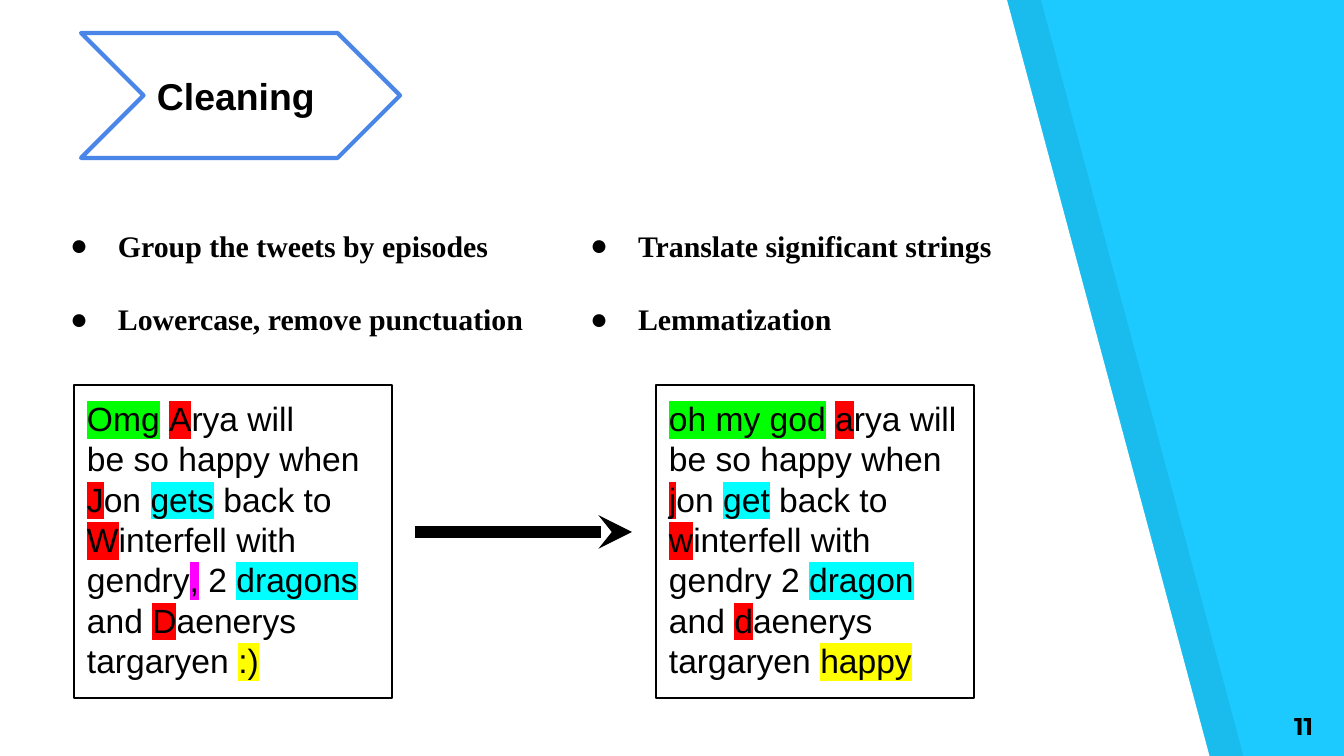
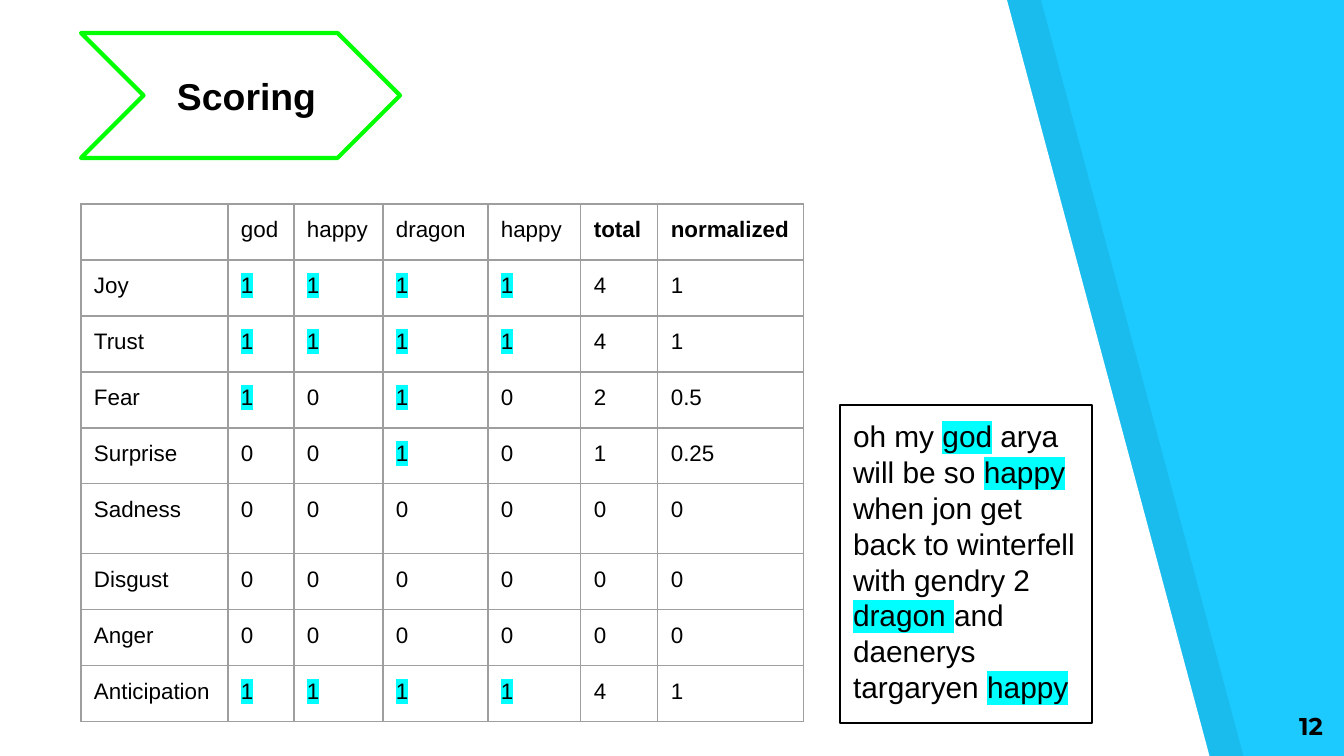
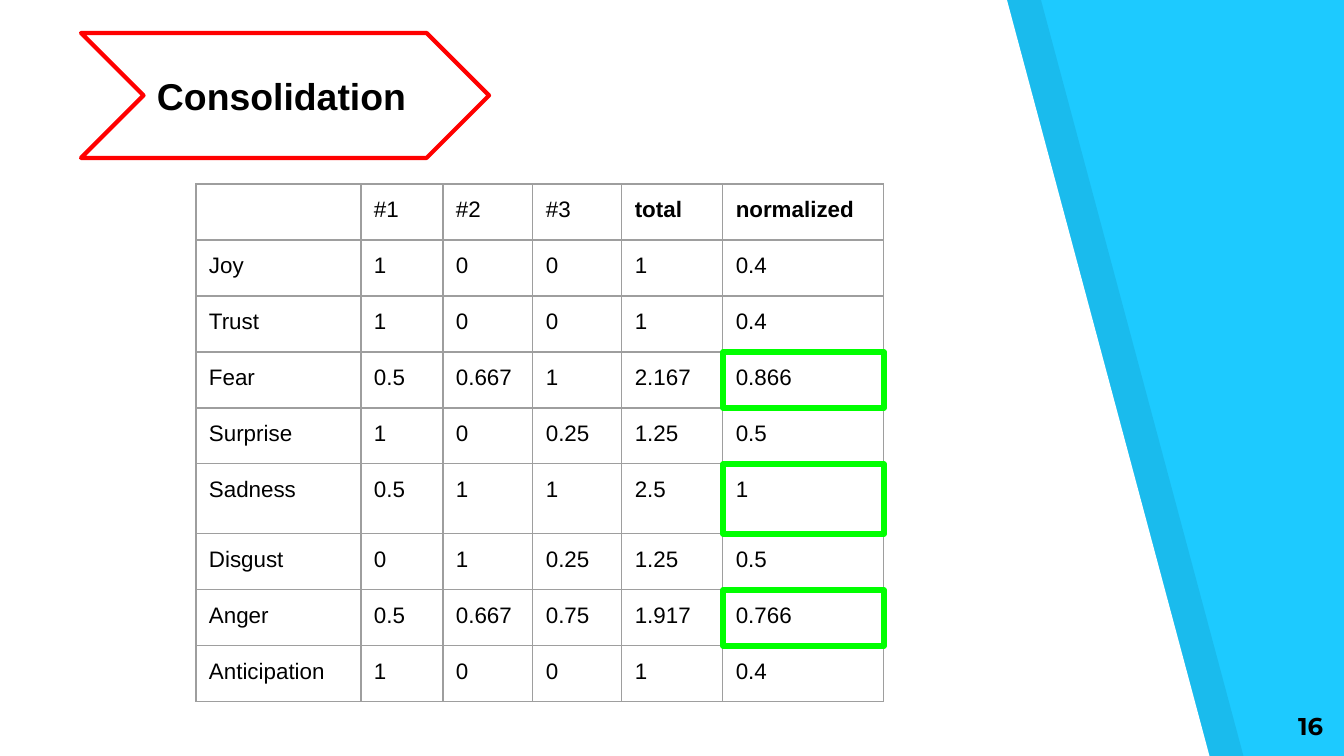
from dataclasses import dataclass
from itertools import accumulate

from lxml import etree
from pptx import Presentation
from pptx.dml.color import RGBColor
from pptx.enum.shapes import MSO_CONNECTOR, MSO_SHAPE
from pptx.enum.text import MSO_ANCHOR, MSO_AUTO_SIZE, PP_ALIGN
from pptx.oxml.ns import qn
from pptx.util import Pt

CHEVRON, RECTANGLE = MSO_SHAPE.CHEVRON, MSO_SHAPE.RECTANGLE
STRAIGHT = MSO_CONNECTOR.STRAIGHT
TOP, MIDDLE = MSO_ANCHOR.TOP, MSO_ANCHOR.MIDDLE
LEFT, RIGHT = PP_ALIGN.LEFT, PP_ALIGN.RIGHT
NO_AUTOFIT = MSO_AUTO_SIZE.NONE

SCALE = 914400 / 134.4
PAGE_WIDTH, PAGE_HEIGHT = 1344, 756
INSET = 13
TWO_CONTENT, TITLE_ONLY = 3, 5


@dataclass(frozen=True)
class Theme:
    """Colours, fonts and type sizes of the deck."""
    ink: str = "000000"
    paper: str = "FFFFFF"
    sky: str = "1DCAFF"
    grid: str = "9E9E9E"
    blue: str = "4A86E8"
    green: str = "00FF00"
    red: str = "FF0000"
    cyan: str = "00FFFF"
    magenta: str = "FF00FF"
    yellow: str = "FFFF00"
    sans: str = "Arial"
    serif: str = "Times New Roman"
    number_font: str = "Montserrat"
    title_size: int = 20
    tweet_size: int = 18
    list_size: int = 16
    number_size: int = 13
    table_size: int = 12


THEME = Theme()

RAW_TWEET = [
    [("Omg", THEME.green), (" ",), ("A", THEME.red), ("rya will",)],
    [("be so happy when ",), ("J", THEME.red), ("on ",), ("gets", THEME.cyan),
     (" back to ",), ("W", THEME.red), ("interfell with gendry",),
     (",", THEME.magenta), (" 2 ",), ("dragons", THEME.cyan), (" and ",),
     ("D", THEME.red), ("aenerys targaryen ",), (":)", THEME.yellow)],
]
CLEAN_TWEET = [
    [("oh my god", THEME.green), (" ",), ("a", THEME.red),
     ("rya will be so happy when ",), ("j", THEME.red), ("on ",),
     ("get", THEME.cyan), (" back to ",), ("w", THEME.red),
     ("interfell with gendry 2 ",), ("dragon ", THEME.cyan), ("and ",),
     ("d", THEME.red), ("aenerys targaryen ",), ("happy", THEME.yellow)],
]
SCORED_TWEET = [
    [("oh my ",), ("god", THEME.cyan), (" arya will be so ",),
     ("happy ", THEME.cyan), ("when jon get back to winterfell with gendry 2 ",),
     ("dragon ", THEME.cyan), ("and daenerys targaryen ",),
     ("happy", THEME.cyan)],
]
ROW_HEIGHTS = [56, 56, 56, 56, 56, 70, 56, 56, 56]
WORD_COLUMNS = [147, 66, 89, 105, 93, 77, 146]
WORD_SCORES = [
    ["", "god", "happy", "dragon", "happy", "total", "normalized"],
    ["Joy", "1", "1", "1", "1", "4", "1"],
    ["Trust", "1", "1", "1", "1", "4", "1"],
    ["Fear", "1", "0", "1", "0", "2", "0.5"],
    ["Surprise", "0", "0", "1", "0", "1", "0.25"],
    ["Sadness", "0", "0", "0", "0", "0", "0"],
    ["Disgust", "0", "0", "0", "0", "0", "0"],
    ["Anger", "0", "0", "0", "0", "0", "0"],
    ["Anticipation", "1", "1", "1", "1", "4", "1"],
]
TWEET_COLUMNS = [165, 82, 90, 89, 101, 161]
TWEET_SCORES = [
    ["", "#1", "#2", "#3", "total", "normalized"],
    ["Joy", "1", "0", "0", "1", "0.4"],
    ["Trust", "1", "0", "0", "1", "0.4"],
    ["Fear", "0.5", "0.667", "1", "2.167", "0.866"],
    ["Surprise", "1", "0", "0.25", "1.25", "0.5"],
    ["Sadness", "0.5", "1", "1", "2.5", "1"],
    ["Disgust", "0", "1", "0.25", "1.25", "0.5"],
    ["Anger", "0.5", "0.667", "0.75", "1.917", "0.766"],
    ["Anticipation", "1", "0", "0", "1", "0.4"],
]
STRONGEST = ["Fear", "Sadness", "Anger"]


def px(length):
    """Turn a length in px into EMU."""
    return round(length * SCALE)


def place(shape, box):
    """Move a shape to a box given in px."""
    shape.left, shape.top, shape.width, shape.height = map(px, box)


def add_color(parent, tag, color):
    """Append an element that holds one plain colour."""
    holder = etree.SubElement(parent, qn(tag))
    return etree.SubElement(holder, qn("a:srgbClr"), val=color)


def add_span(para, text, size, name=THEME.sans, bold=False, highlight=None):
    """Add one formatted run to a paragraph."""
    span = para.add_run()
    span.text = text
    font = span.font
    font.size, font.bold = Pt(size), bold
    font.color.rgb = RGBColor.from_string(THEME.ink)
    if highlight:
        add_color(font._element, "a:highlight", highlight)
    font.name = name


def set_frame(frame, anchor=TOP, top=INSET):
    """Give a text frame its wrapping, anchor and insets."""
    frame.word_wrap = True
    frame.auto_size = NO_AUTOFIT
    frame.vertical_anchor = anchor
    frame.margin_left = frame.margin_right = frame.margin_bottom = px(INSET)
    frame.margin_top = px(top)


def add_outline(page, kind, box, color, weight, fill=None):
    """Draw an outlined preset shape."""
    shape = page.shapes.add_shape(kind, *map(px, box))
    shape.shadow.inherit = False
    if fill:
        shape.fill.solid()
        shape.fill.fore_color.rgb = RGBColor.from_string(fill)
    else:
        shape.fill.background()
    shape.line.color.rgb = RGBColor.from_string(color)
    shape.line.width = Pt(weight)
    return shape


def move_band_to_master(deck, page, left, color, alpha=100):
    """Draw a slanted band and move it to the back of the master."""
    corners = [(0, 758), (1210, 758), (1007, 0)]
    builder = page.shapes.build_freeform(left, -1, SCALE)
    builder.add_line_segments([(left + x, y) for x, y in corners])
    band = builder.convert_to_shape()
    band.shadow.inherit = False
    band.line.fill.background()
    band.fill.solid()
    band.fill.fore_color.rgb = RGBColor.from_string(color)
    tint = band.element.spPr.find(".//" + qn("a:srgbClr"))
    etree.SubElement(tint, qn("a:alpha"), val=str(alpha * 1000))
    deck.slide_master.shapes.element.insert(2, band.element)


def style_master(deck, page):
    """Set the background and bands that all slides share."""
    fill = deck.slide_master.background.fill
    fill.solid()
    fill.fore_color.rgb = RGBColor.from_string(THEME.sky)
    move_band_to_master(deck, page, 0, THEME.paper)
    move_band_to_master(deck, page, 34, THEME.ink, alpha=7)


def add_title(page, text, color, width=319, indent=0):
    """Draw the step chevron and put the title inside it."""
    left, top, height = 81, 33, 125
    notch = height // 2 + 1
    add_outline(page, CHEVRON, (left, top, width, height), color, 2.25, THEME.paper)
    title = page.shapes.title
    place(title, (left + notch, top, width - 2 * notch, height))
    page.shapes.element.append(title.element)
    frame = title.text_frame
    set_frame(frame, MIDDLE)
    frame.margin_left = px(INSET + indent)
    para = frame.paragraphs[0]
    para.alignment = LEFT
    add_span(para, text, THEME.title_size, bold=True)


def add_number(page, number, left=1255):
    """Write the page number in the lower right corner."""
    box = page.shapes.add_textbox(*map(px, (left, 698, 81, 58)))
    set_frame(box.text_frame)
    para = box.text_frame.paragraphs[0]
    para.alignment = RIGHT
    add_span(para, number, THEME.number_size, THEME.number_font, bold=True)


def add_list(body, box, items):
    """Fill a body placeholder with spaced bullets."""
    place(body, box)
    frame = body.text_frame
    set_frame(frame, top=5)
    for index, item in enumerate(items):
        para = frame.add_paragraph() if index else frame.paragraphs[0]
        properties = para._p.get_or_add_pPr()
        properties.set("marL", str(px(67)))
        properties.set("indent", str(px(-48)))
        add_color(properties, "a:buClr", THEME.ink)
        etree.SubElement(properties, qn("a:buFont"), typeface=THEME.serif)
        etree.SubElement(properties, qn("a:buChar"), char="●")
        para.alignment = LEFT
        para.space_before = Pt(20 if index else 0)
        add_span(para, item, THEME.list_size, THEME.serif, bold=True)


def add_tweet(page, box, paragraphs, size):
    """Draw a framed tweet with highlighted words."""
    frame = add_outline(page, RECTANGLE, box, THEME.ink, 0.75).text_frame
    set_frame(frame)
    for index, spans in enumerate(paragraphs):
        para = frame.add_paragraph() if index else frame.paragraphs[0]
        para.alignment = LEFT
        for text, *highlight in spans:
            add_span(para, text, size, highlight=highlight[0] if highlight else None)


def add_arrow(page, left, right, middle):
    """Draw a thick arrow pointing right."""
    arrow = page.shapes.add_connector(
        STRAIGHT, px(left), px(middle), px(right), px(middle))
    arrow.line.color.rgb = RGBColor.from_string(THEME.ink)
    arrow.line.width = Pt(6)
    etree.SubElement(arrow.line._get_or_add_ln(), qn("a:tailEnd"), type="stealth")
    etree.SubElement(arrow.element.spPr, qn("a:effectLst"))


def style_cell(cell):
    """Clear a cell's fill and give it insets and thin grey borders."""
    cell.margin_left = cell.margin_right = px(INSET)
    cell.margin_top = cell.margin_bottom = px(INSET)
    cell.vertical_anchor = TOP
    properties = cell._tc.get_or_add_tcPr()
    for side in ("a:lnL", "a:lnR", "a:lnT", "a:lnB"):
        border = etree.SubElement(properties, qn(side), w=str(Pt(0.75)))
        add_color(border, "a:solidFill", THEME.grid)
    cell.fill.background()


def add_scores(page, left, top, widths, rows, word_columns=()):
    """Add a score table, marking the hits in the word columns."""
    box = (left, top, sum(widths), sum(ROW_HEIGHTS))
    table = page.shapes.add_table(len(rows), len(widths), *map(px, box)).table
    table.first_row = table.horz_banding = False
    for column, width in zip(table.columns, widths):
        column.width = px(width)
    for row, height in zip(table.rows, ROW_HEIGHTS):
        row.height = px(height)
    for row_index, values in enumerate(rows):
        for column_index, text in enumerate(values):
            cell = table.cell(row_index, column_index)
            style_cell(cell)
            para = cell.text_frame.paragraphs[0]
            if not text:
                etree.SubElement(para._p, qn("a:endParaRPr"),
                                 sz=str(THEME.table_size * 100))
                continue
            hit = column_index in word_columns and text == "1"
            add_span(para, text, THEME.table_size,
                     bold=text in ("total", "normalized"),
                     highlight=THEME.cyan if hit else None)


def mark_strongest(page, left, top, widths, rows):
    """Frame the last cell of each of the strongest emotions."""
    tops = accumulate(ROW_HEIGHTS, initial=top)
    for values, row_top, height in zip(rows, tops, ROW_HEIGHTS):
        if values[0] in STRONGEST:
            box = (left + sum(widths[:-1]), row_top, widths[-1], height)
            add_outline(page, RECTANGLE, box, THEME.green, 3)


def build_cleaning(deck):
    """Build the slide on cleaning the tweets."""
    page = deck.slides.add_slide(deck.slide_layouts[TWO_CONTENT])
    style_master(deck, page)
    add_number(page, "11", left=1245)
    add_title(page, "Cleaning", THEME.blue)
    add_list(page.placeholders[1], (38, 223, 558, 153),
             ["Group the tweets by episodes", "Lowercase, remove punctuation"])
    add_list(page.placeholders[2], (558, 223, 558, 153),
             ["Translate significant strings", "Lemmatization"])
    for left, tweet in ((74, RAW_TWEET), (656, CLEAN_TWEET)):
        add_tweet(page, (left, 385, 318, 313), tweet, THEME.tweet_size)
    add_arrow(page, 415, 632, 532)


def build_scoring(deck):
    """Build the slide on scoring one tweet."""
    page = deck.slides.add_slide(deck.slide_layouts[TITLE_ONLY])
    add_number(page, "12")
    add_tweet(page, (840, 405, 252, 318), SCORED_TWEET, THEME.list_size)
    add_title(page, "Scoring", THEME.green, indent=20)
    add_scores(page, 81, 204, WORD_COLUMNS, WORD_SCORES, range(1, 5))


def build_consolidation(deck):
    """Build the slide on adding up the tweets."""
    page = deck.slides.add_slide(deck.slide_layouts[TITLE_ONLY])
    add_number(page, "16")
    add_title(page, "Consolidation", THEME.red, width=408)
    grid = (196, 184, TWEET_COLUMNS, TWEET_SCORES)
    add_scores(page, *grid)
    mark_strongest(page, *grid)


def main():
    """Build the deck and save it."""
    deck = Presentation()
    deck.slide_width, deck.slide_height = px(PAGE_WIDTH), px(PAGE_HEIGHT)
    build_cleaning(deck)
    build_scoring(deck)
    build_consolidation(deck)
    deck.save("out.pptx")


if __name__ == "__main__":
    main()
